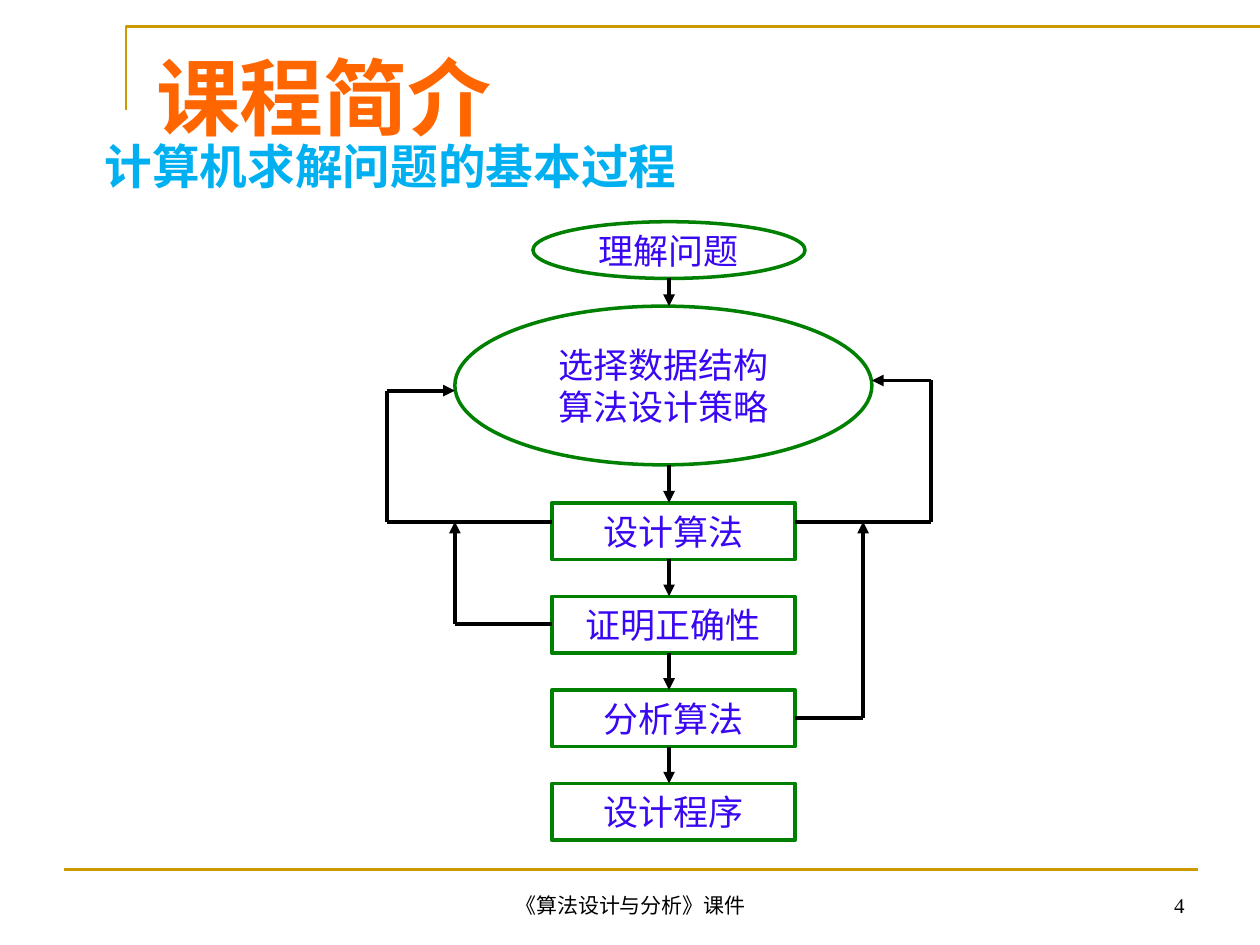
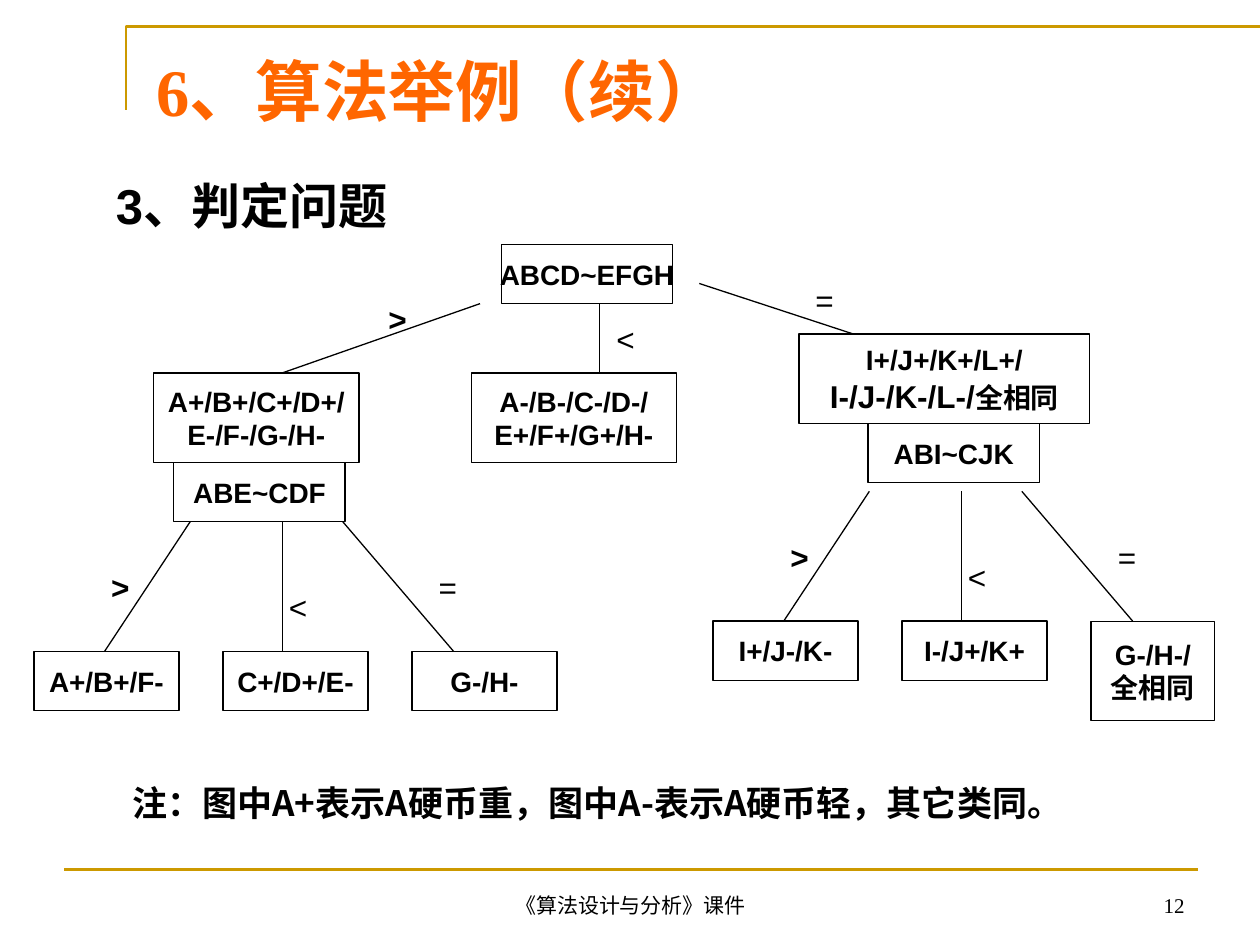
from dataclasses import dataclass

from lxml import etree
from pptx import Presentation
from pptx.dml.color import RGBColor
from pptx.enum import shapes, text
from pptx.oxml.ns import qn
from pptx.util import Inches, Pt

GOLD = RGBColor(0xCC, 0x99, 0x00)
ORANGE = RGBColor(0xFF, 0x66, 0x00)
SKY = RGBColor(0x00, 0xB0, 0xF0)
GREEN = RGBColor(0x00, 0x80, 0x00)
VIOLET = RGBColor(0x39, 0x07, 0xF1)
BLACK = RGBColor(0, 0, 0)
WHITE = RGBColor(0xFF, 0xFF, 0xFF)

SANS, SERIF, CJK = "Arial", "Times New Roman", "Noto Sans CJK SC"
RECT, OVAL = shapes.MSO_SHAPE.RECTANGLE, shapes.MSO_SHAPE.OVAL
LEFT, CENTER, RIGHT = text.PP_ALIGN.LEFT, text.PP_ALIGN.CENTER, text.PP_ALIGN.RIGHT
TOP, MIDDLE, BOTTOM = text.MSO_ANCHOR.TOP, text.MSO_ANCHOR.MIDDLE, text.MSO_ANCHOR.BOTTOM


@dataclass(frozen=True)
class Style:
    size: float
    color: RGBColor = BLACK
    bold: bool = False
    font: str = SANS
    align: text.PP_ALIGN = CENTER
    anchor: text.MSO_ANCHOR = TOP
    spacing: float = 1.0


@dataclass(frozen=True)
class Node:
    """A block of the flow chart or the tree; lines are split by a newline."""
    left: float
    top: float
    width: float
    height: float
    label: str
    shape: shapes.MSO_SHAPE = RECT


@dataclass(frozen=True)
class Link:
    x1: float
    y1: float
    x2: float
    y2: float
    arrow: bool = False


TITLE = Style(48, ORANGE, True, SERIF, LEFT, MIDDLE)
LONG_TITLE = Style(38, ORANGE, True, SERIF, LEFT, MIDDLE, 0.7)
SUBTITLE = Style(27.2, SKY, True, align=LEFT)
HEADING = Style(28, bold=True, align=LEFT)
FOOTER = Style(12, font=SERIF, anchor=BOTTOM)
PAGE_NUMBER = Style(12, font=SERIF, align=RIGHT, anchor=BOTTOM)
FLOW = Style(20, VIOLET, anchor=MIDDLE)
TREE = Style(16, bold=True, anchor=MIDDLE)
SIGN = Style(18)
BOLD_SIGN = Style(18, bold=True)
NOTE = Style(20, bold=True, font=CJK)


def add_run(p, content: str, style: Style, size: float | None = None) -> None:
    r = p.add_run()
    r.text = content
    r.font.color.rgb = style.color
    for name, value in {"size": Pt(size or style.size), "bold": style.bold,
                        "name": style.font}.items():
        setattr(r.font, name, value)
    etree.SubElement(r.font._element, qn("a:ea"), typeface=CJK)


def write(tf, content: str, style: Style, wrap: bool, inset: tuple[float, float]) -> None:
    side, top = inset
    for name, value in {"word_wrap": wrap, "vertical_anchor": style.anchor,
                        "margin_left": Inches(side), "margin_right": Inches(0.1),
                        "margin_top": Inches(top), "margin_bottom": Inches(0.05)}.items():
        setattr(tf, name, value)
    for i, line in enumerate(content.split("\n")):
        p = tf.add_paragraph() if i else tf.paragraphs[0]
        p.alignment = style.align
        if style.spacing != 1:
            p.line_spacing = style.spacing
        if line:
            add_run(p, line, style)


def add_text(s, left: float, top: float, width: float, height: float, content: str,
             style: Style, inset: tuple[float, float] = (0.1, 0.05)) -> None:
    box = s.shapes.add_textbox(*map(Inches, (left, top, width, height)))
    write(box.text_frame, content, style, True, inset)


def add_node(s, node: Node, style: Style, line: RGBColor, weight: float,
             fill: RGBColor | None = None):
    sp = s.shapes.add_shape(node.shape, *map(Inches, (node.left, node.top,
                                                      node.width, node.height)))
    sp.shadow.inherit = False
    if fill is None:
        sp.fill.background()
    else:
        sp.fill.solid()
        sp.fill.fore_color.rgb = fill
    sp.line.color.rgb = line
    sp.line.width = Pt(weight)
    write(sp.text_frame, node.label, style, False, (0.1, 0.05))
    return sp


def add_link(s, link: Link, weight: float, color: RGBColor = BLACK) -> None:
    c = s.shapes.add_connector(shapes.MSO_CONNECTOR.STRAIGHT,
                               *map(Inches, (link.x1, link.y1, link.x2, link.y2)))
    c.line.color.rgb = color
    c.line.width = Pt(weight)
    if link.arrow:
        etree.SubElement(c.line._get_or_add_ln(), qn("a:tailEnd"), type="triangle")
    etree.SubElement(c._element.spPr, qn("a:effectLst"))


def new_slide(prs, number: int):
    """Blank slide with the corner rule, the bottom rule and the footer."""
    s = prs.slides.add_slide(prs.slide_layouts[6])
    builder = s.shapes.build_freeform(Inches(1), Inches(0.87))
    builder.add_line_segments([(Inches(1), Inches(0.21)), (Inches(10), Inches(0.21))],
                              close=False)
    corner = builder.convert_to_shape()
    corner.shadow.inherit = False
    corner.fill.background()
    corner.line.color.rgb = GOLD
    corner.line.width = Pt(1.5)
    add_link(s, Link(0.51, 6.9, 9.51, 6.9), 1.5, GOLD)
    add_text(s, 3.42, 6.98, 3.17, 0.35, "《算法设计与分析》课件", FOOTER)
    add_text(s, 7.17, 6.98, 2.33, 0.35, str(number), PAGE_NUMBER)
    return s


def flow_slide(prs) -> None:
    s = new_slide(prs, 4)
    add_text(s, 1.14, 0.3, 7.8, 0.93, "课程简介", TITLE)
    add_text(s, 0.51, 1.07, 9, 0.55, "计算机求解问题的基本过程", SUBTITLE, (0.32, 0.02))

    # Steps from top to bottom
    left, right, first, pitch = 4.38, 6.31, 3.99, 0.743
    steps = [Node(4.23, 1.76, 2.16, 0.45, "理解问题", OVAL),
             Node(3.61, 2.43, 3.31, 1.26, "选择数据结构\n算法设计策略", OVAL)]
    steps += [Node(left, first + i * pitch, right - left, 0.45, label) for i, label in
              enumerate(["设计算法", "证明正确性", "分析算法", "设计程序"])]
    for step in steps:
        add_node(s, step, FLOW, GREEN, 2, WHITE)

    # Arrows down the middle
    axis = 5.31
    links = [Link(axis, a.top + a.height, axis, b.top, True)
             for a, b in zip(steps, steps[1:])]

    # Loops back to earlier steps; the last leg carries the arrowhead
    loops = [
        [(left, 4.14), (3.07, 4.14), (3.07, 3.1), (3.61, 3.1)],
        [(right, 4.14), (7.39, 4.14), (7.39, 3.02), (6.92, 3.02)],
        [(left, 4.95), (3.61, 4.95), (3.61, 4.14)],
        [(right, 5.7), (6.85, 5.7), (6.85, 4.14)],
    ]
    for loop in loops:
        links += [Link(*a, *b, arrow=b == loop[-1]) for a, b in zip(loop, loop[1:])]
    for link in links:
        add_link(s, link, 2.25)


def add_sign(s, left: float, top: float, sign: str) -> None:
    add_text(s, left, top, 0.41, 0.4, sign, BOLD_SIGN if sign == ">" else SIGN)


def add_fan(s, dx: float, dy: float, leaves: list[str],
            last_size: tuple[float, float] = (1.15, 0.47)) -> None:
    """Three outcomes of one weighing, shifted by dx and dy."""
    sizes = [(1.15, 0.47), (1.15, 0.47), last_size]
    for i, (label, size) in enumerate(zip(leaves, sizes)):
        add_node(s, Node(0.27 + dx + 1.5 * i, 5.17 + dy, *size, label), TREE, BLACK, 0.75)
    for x1, x2 in [(1.51, 0.83), (2.24, 2.24), (2.72, 3.6)]:
        add_link(s, Link(x1 + dx, 4.14 + dy, x2 + dx, 5.17 + dy), 0.75)
    for x, y, sign in [(0.75, 4.46, ">"), (2.16, 4.62, "<"), (3.35, 4.46, "=")]:
        add_sign(s, x + dx, y + dy, sign)


def tree_slide(prs) -> None:
    s = new_slide(prs, 12)
    add_text(s, 1.14, 0.4, 8.82, 0.79, "6、算法举例（续）", LONG_TITLE)
    add_text(s, 0.71, 1.34, 9.06, 0.57, "3、判定问题", HEADING, (0.21, 0.05))

    # Weighings and their outcomes
    for node in [Node(3.98, 1.94, 1.36, 0.47, "ABCD~EFGH"),
                 Node(1.22, 2.96, 1.63, 0.71, "A+/B+/C+/D+/\nE-/F-/G-/H-"),
                 Node(3.74, 2.96, 1.63, 0.71, "A-/B-/C-/D-/\nE+/F+/G+/H-"),
                 Node(1.38, 3.67, 1.36, 0.47, "ABE~CDF"),
                 Node(6.89, 3.36, 1.36, 0.47, "ABI~CJK")]:
        add_node(s, node, TREE, BLACK, 0.75)
    equal = add_node(s, Node(6.34, 2.65, 2.31, 0.71, "I+/J+/K+/L+/\n"), TREE, BLACK, 0.75)
    second_line = equal.text_frame.paragraphs[1]
    add_run(second_line, "I-/J-/K-/L-/", TREE, 18)
    add_run(second_line, "全相同", TREE)

    # First weighing
    for link in [Link(3.81, 2.41, 2.24, 2.96), Link(4.76, 2.41, 4.76, 2.96),
                 Link(5.55, 2.25, 6.77, 2.65)]:
        add_link(s, link, 0.75)
    for x, y, sign in [(2.95, 2.33, ">"), (4.76, 2.49, "<"), (6.34, 2.18, "=")]:
        add_sign(s, x, y, sign)

    # Second weighings
    add_fan(s, 0, 0, ["A+/B+/F-", "C+/D+/E-", "G-/H-"])
    add_fan(s, 5.39, -0.24, ["I+/J-/K-", "I-/J+/K+", "G-/H-/\n全相同"], (0.98, 0.79))

    add_text(s, 0.83, 6.15, 7.82, 0.77,
             "注：图中A+表示A硬币重，图中A-表示A硬币轻，其它类同。", NOTE)


def main() -> None:
    prs = Presentation()
    prs.slide_width, prs.slide_height = Inches(10), Inches(7.5)
    flow_slide(prs)
    tree_slide(prs)
    prs.save("out.pptx")


if __name__ == "__main__":
    main()
